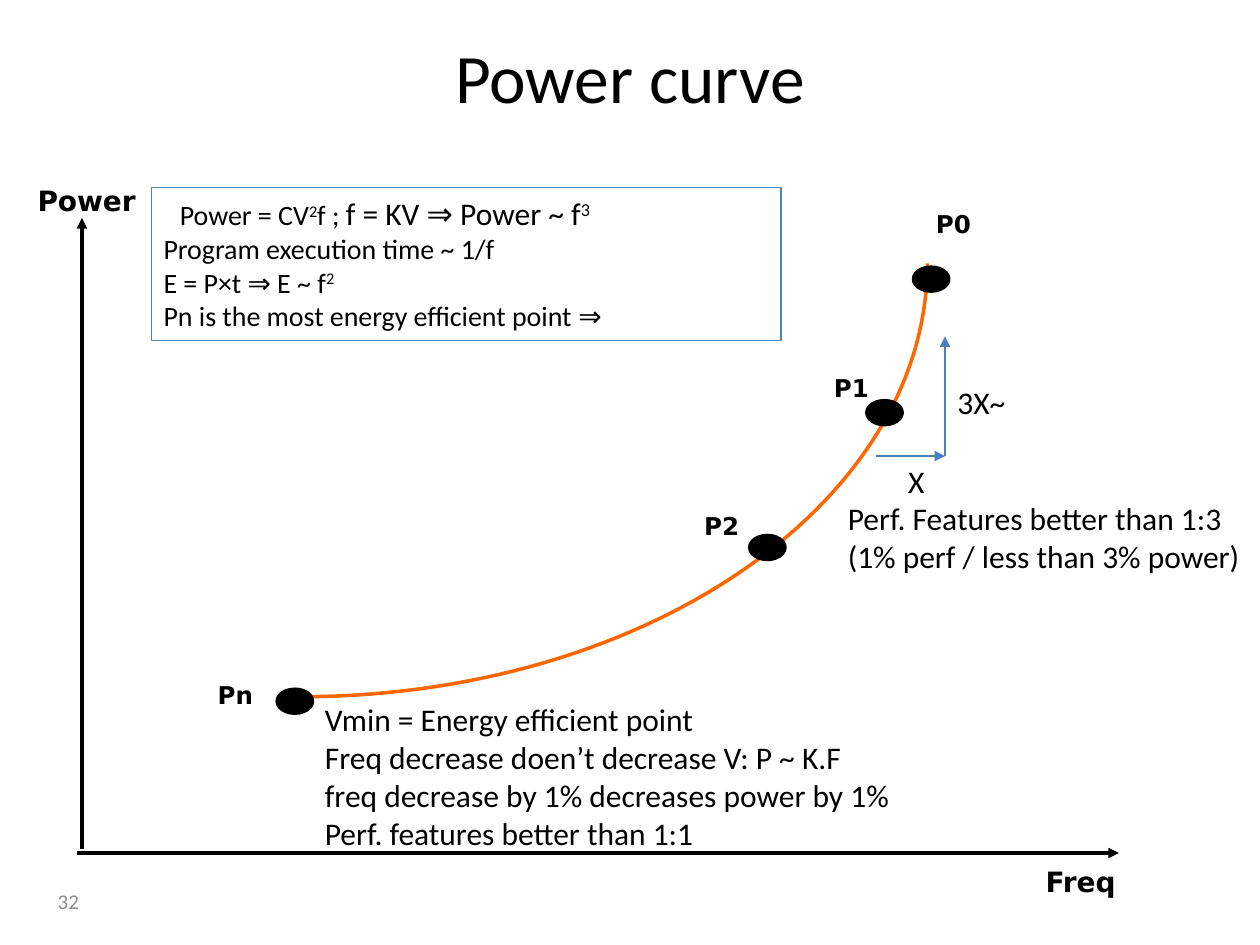
from dataclasses import dataclass

from lxml.etree import SubElement
from pptx import Presentation
from pptx.dml.color import RGBColor
from pptx.enum.shapes import MSO_CONNECTOR, MSO_SHAPE
from pptx.enum.text import MSO_ANCHOR, PP_ALIGN
from pptx.oxml.ns import qn
from pptx.util import Inches, Pt


@dataclass(frozen=True)
class Theme:
    ink: str = "000000"
    muted: str = "8C8C8C"
    curve: str = "FF6600"
    frame: str = "4F81BD"
    slope: str = "4B7EBC"
    body_font: str = "Calibri"
    label_font: str = "DejaVu Sans"
    title_size: float = 39.6
    body_size: int = 18
    formula_size: int = 16
    axis_size: int = 16
    point_size: int = 14
    number_size: int = 12
    heavy: float = 2
    thin: float = 0.75


class SlideBuilder:
    def __init__(self, slide, theme):
        self.slide = slide
        self.theme = theme

    def style_font(self, font, size, color=None, family=None, bold=False):
        font.size = Pt(size)
        font.name = family or self.theme.body_font
        font.bold = bold
        font.color.rgb = RGBColor.from_string(color or self.theme.ink)

    def stroke(self, line, color, width):
        line.color.rgb = RGBColor.from_string(color)
        line.width = Pt(width)

    def title(self, text, *box):
        heading = self.slide.shapes.title
        heading.left, heading.top, heading.width, heading.height = map(Inches, box)
        frame = heading.text_frame
        frame.text = text
        frame.vertical_anchor = MSO_ANCHOR.MIDDLE
        paragraph = frame.paragraphs[0]
        paragraph.alignment = PP_ALIGN.CENTER
        self.style_font(paragraph.font, self.theme.title_size)

    def text(self, lines, box, size, wrap=True, anchor=MSO_ANCHOR.TOP, **font):
        frame = self.slide.shapes.add_textbox(*map(Inches, box)).text_frame
        frame.word_wrap = wrap
        frame.vertical_anchor = anchor
        for index, line in enumerate(lines):
            paragraph = frame.paragraphs[0] if index == 0 else frame.add_paragraph()
            paragraph.text = line
            self.style_font(paragraph.font, size, **font)

    def label(self, text, box, size):
        self.text([text], box, size, wrap=False,
                  family=self.theme.label_font, bold=True)

    def arrow(self, start, end, color, width):
        connector = self.slide.shapes.add_connector(
            MSO_CONNECTOR.STRAIGHT, *map(Inches, (*start, *end)))
        self.stroke(connector.line, color, width)
        properties = connector._element.spPr
        SubElement(properties.find(qn("a:ln")), qn("a:tailEnd"), type="triangle")
        SubElement(properties, qn("a:effectLst"))

    def curve(self, controls, steps=60):
        """Trace a cubic Bezier through its four control points."""
        def at(t):
            weights = ((1 - t) ** 3, 3 * t * (1 - t) ** 2, 3 * t * t * (1 - t), t ** 3)
            return tuple(Inches(sum(w * point[axis] for w, point in zip(weights, controls)))
                         for axis in (0, 1))

        points = [at(step / steps) for step in range(steps + 1)]
        builder = self.slide.shapes.build_freeform(*points[0])
        builder.add_line_segments(points[1:], close=False)
        power_curve = builder.convert_to_shape()
        power_curve.shadow.inherit = False
        power_curve.fill.background()
        self.stroke(power_curve.line, self.theme.curve, self.theme.heavy)

    def marker(self, left, top):
        dot = self.slide.shapes.add_shape(
            MSO_SHAPE.OVAL, *map(Inches, (left, top, 0.28, 0.19)))
        dot.shadow.inherit = False
        dot.fill.solid()
        dot.fill.fore_color.rgb = RGBColor.from_string(self.theme.ink)
        self.stroke(dot.line, self.theme.ink, self.theme.heavy)

    def formula_box(self, lines, box):
        """Draw framed lines, each a first-line indent and (text, size, superscript) runs."""
        panel = self.slide.shapes.add_shape(MSO_SHAPE.RECTANGLE, *map(Inches, box))
        panel.shadow.inherit = False
        panel.fill.background()
        self.stroke(panel.line, self.theme.frame, self.theme.thin)
        frame = panel.text_frame
        frame.word_wrap = True
        frame.vertical_anchor = MSO_ANCHOR.TOP
        for index, (indent, runs) in enumerate(lines):
            paragraph = frame.paragraphs[0] if index == 0 else frame.add_paragraph()
            paragraph.alignment = PP_ALIGN.LEFT
            paragraph._p.get_or_add_pPr().set("marL", str(Inches(indent)))
            for text, size, superscript in runs:
                run = paragraph.add_run()
                run.text = text
                self.style_font(run.font, size)
                if superscript:
                    run.font._element.set("baseline", "30000")


def main():
    theme = Theme()
    deck = Presentation()
    deck.slide_width, deck.slide_height = Inches(10), Inches(7.5)
    page = SlideBuilder(deck.slides.add_slide(deck.slide_layouts[5]), theme)

    page.title("Power curve", 0.5, 0.3, 9, 0.61)
    page.text(["32"], (0.36, 6.95, 2.33, 0.4), theme.number_size,
              anchor=MSO_ANCHOR.MIDDLE, color=theme.muted)

    page.arrow((0.65, 6.74), (0.65, 1.73), theme.ink, theme.heavy)
    page.arrow((0.61, 6.77), (8.88, 6.77), theme.ink, theme.heavy)
    page.label("Power", (0.2, 1.41, 1.16, 0.41), theme.axis_size)
    page.label("Freq", (8.2, 6.81, 0.93, 0.41), theme.axis_size)

    page.curve([(2.38, 5.53), (5.13, 5.53), (7.36, 3.99), (7.36, 2.09)])
    operating_points = [
        ("P0", (7.25, 2.12), (7.33, 1.61)),
        ("P1", (6.88, 3.18), (6.52, 2.91)),
        ("P2", (5.95, 4.25), (5.49, 4.01)),
        ("Pn", (2.2, 5.47), (1.63, 5.35)),
    ]
    for name, dot, caption in operating_points:
        page.marker(*dot)
        page.label(name, (*caption, 0.6, 0.34), theme.point_size)

    page.text(["Vmin = Energy efficient point",
               "Freq decrease doen’t decrease V: P ~ K.F",
               "freq decrease by 1% decreases power by 1%",
               "Perf. features better than 1:1"],
              (2.48, 5.51, 5.35, 1.31), theme.body_size)

    small, large = theme.formula_size, theme.body_size
    page.formula_box([
        (0.13, [("Power = CV", small, False), ("2", small, True), ("f ; ", small, False),
                ("f = KV ⇒ Power ~ f", large, False), ("3", large, True)]),
        (0, [("Program execution time ~ 1/f", small, False)]),
        (0, [("E = P×t ⇒ E ~ f", small, False), ("2", small, True)]),
        (0, [("Pn is the most energy efficient point ⇒", small, False)]),
    ], (1.2, 1.49, 5, 1.21))

    corner = (7.5, 3.62)
    page.arrow((6.95, 3.62), corner, theme.slope, theme.thin)
    page.arrow(corner, (7.5, 2.67), theme.slope, theme.thin)
    page.text(["X"], (7.11, 3.62, 0.33, 0.4), theme.body_size, wrap=False)
    page.text(["3X~"], (7.5, 2.99, 0.59, 0.4), theme.body_size, wrap=False)
    page.text(["Perf. Features better than 1:3", "(1% perf / less than 3% power)"],
              (6.63, 3.91, 3.35, 0.71), theme.body_size, wrap=False)

    deck.save("out.pptx")


if __name__ == "__main__":
    main()
